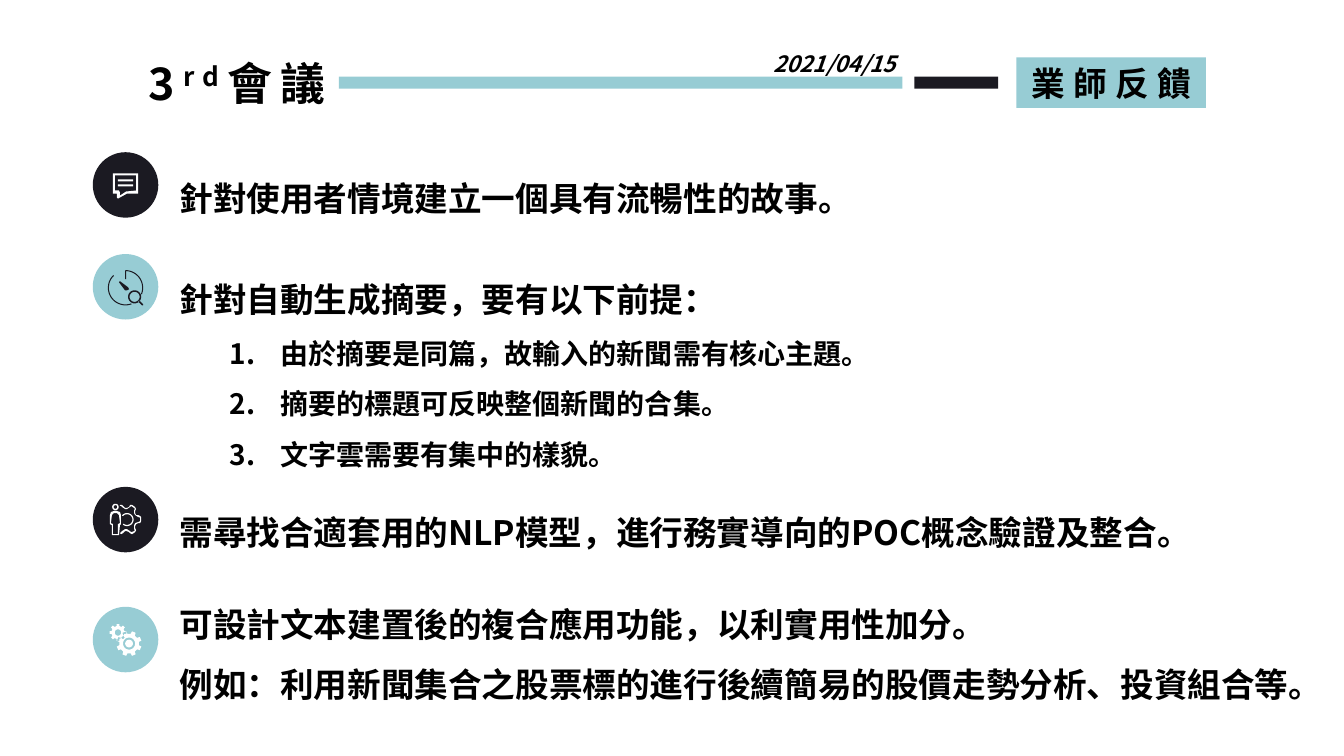
import math
from lxml import etree
from pptx import Presentation
from pptx import util as u
from pptx.dml.color import RGBColor
from pptx.enum import shapes, text
from pptx.oxml.ns import qn

COLORS = {"teal": "97CCD4", "ink": "1B1A22", "white": "FFFFFF", "black": "000000"}
FONT = "Noto Sans CJK SC"
SCALE = 9144
SLIDE_SIZE = (1333, 750)

TITLE = [("3", 0), ("rd", 30000), ("會議", 0)]
TITLE_BOX = (137, 50, 211, 64)
DATE = "2021/04/15"
DATE_BOX = (749, 45, 158, 37)
BADGE = "業師反饋"
BADGE_BOX = (1008, 57, 188, 50)
BARS = [((336, 76, 559, 12), "teal"), ((907, 76, 83, 12), "ink")]

TEXT_LEFT, DISC_LEFT, DISC_SIZE = 168, 92, 65
FEEDBACK = [
    {"top": 151, "size": (693, 63), "disc_top": 151, "disc": "ink", "icon": "chat", "ink": "white",
     "lines": ["針對使用者情境建立一個具有流暢性的故事。"], "steps": []},
    {"top": 252, "size": (710, 216), "disc_top": 252, "disc": "teal", "icon": "search", "ink": "ink",
     "lines": ["針對自動生成摘要，要有以下前提："],
     "steps": ["由於摘要是同篇，故輸入的新聞需有核心主題。",
               "摘要的標題可反映整個新聞的合集。", "文字雲需要有集中的樣貌。"]},
    {"top": 483, "size": (1067, 63), "disc_top": 483, "disc": "ink", "icon": "engineer", "ink": "white",
     "lines": ["需尋找合適套用的NLP模型，進行務實導向的POC概念驗證及整合。"], "steps": []},
    {"top": 574, "size": (1198, 124), "disc_top": 602, "disc": "teal", "icon": "gears", "ink": "white",
     "lines": ["可設計文本建置後的複合應用功能，以利實用性加分。",
               "例如：利用新聞集合之股票標的進行後續簡易的股價走勢分析、投資組合等。"], "steps": []},
]

COG_OUTLINE = [
    (119, 501), (121, 501), (123, 503), (124, 504), (126, 504), (128, 503), (129, 501), (131, 501),
    (134, 503), (135, 505), (134, 507), (134, 509), (135, 511), (137, 511), (139, 512), (140, 513),
    (140, 517), (139, 519), (137, 519), (135, 520), (134, 522), (134, 524), (135, 526), (134, 528),
    (131, 530), (129, 529), (128, 528), (126, 527), (124, 527), (123, 528), (122, 529), (120, 530),
    (119, 529), (120, 528), (121, 527), (124, 525), (126, 525), (129, 527), (130, 528), (133, 527),
    (134, 526), (133, 525), (133, 521), (134, 519), (137, 518), (139, 517), (139, 514), (138, 513),
    (137, 513), (134, 511), (133, 509), (133, 506), (134, 505), (133, 504), (130, 502), (129, 503),
    (126, 505), (124, 505), (121, 503), (120, 502), (119, 502)]
PERSON_OUTER = [(113, 507), (116, 507), (119, 508), (120, 511), (120, 520), (119, 521), (118, 531),
                (111, 531), (111, 521), (109, 520), (109, 511), (110, 508)]
PERSON_INNER = [(113, 509), (111, 511), (110, 519), (112, 520), (112, 530), (117, 530), (117, 520),
                (119, 519), (118, 511), (116, 509)]


def px(value):
    return u.Emu(round(value * SCALE))


def box(values):
    return [px(value) for value in values]


def arc(x, y, radius, start=0, end=360, count=32):
    angles = [math.radians(start + (end - start) * i / count) for i in range(count + 1)]
    return [(x + radius * math.cos(a), y + radius * math.sin(a)) for a in angles]


def band(x, y, outer, inner, start, end):
    return arc(x, y, outer, start, end) + arc(x, y, inner, end, start)


def rectangle(left, top, right, bottom):
    return [(left, top), (right, top), (right, bottom), (left, bottom)]


def gear(x, y, tip, root, turn, teeth=8):
    points = []
    for tooth in range(teeth):
        middle = turn + 360 * tooth / teeth
        for radius, offset in ((root, -13), (tip, -9), (tip, 9), (root, 13)):
            angle = math.radians(middle + offset)
            points.append((x + radius * math.cos(angle), y + radius * math.sin(angle)))
    return points


ICONS = {
    "chat": [
        [(112, 172), (137, 172), (137, 192), (126, 192), (117, 197), (116, 196), (116, 192), (112, 192)],
        [(114, 174), (135, 174), (135, 189), (125, 190), (119, 194), (119, 191), (118, 189), (114, 189)],
        rectangle(117, 178, 132, 180), rectangle(117, 183, 132, 185)],
    "search": [
        band(124.5, 285.5, 17.5, 16.5, -90, 22), band(124.5, 285.5, 17.5, 16.5, 70, 226),
        rectangle(124, 268, 125, 277),
        [(119, 279), (127, 285), (128, 287), (126, 288), (124, 288), (118, 280)],
        arc(133.5, 294.5, 6.5), arc(133.5, 294.5, 5),
        [(138, 298), (142, 302), (142, 303), (141, 303), (137, 299)]],
    "engineer": [
        PERSON_OUTER, PERSON_INNER, arc(114.5, 503, 3.2), arc(114.5, 503, 1.8),
        band(126, 515.5, 6.5, 5.3, -140, 130), COG_OUTLINE],
    "gears": [
        gear(117, 627.5, 8.5, 6.5, 0), arc(117, 627.5, 3.2),
        gear(128, 638.5, 12.5, 9.8, 22.5), arc(128, 638.5, 6), arc(128, 638.5, 3.8)],
}


def write(paragraph, content, size, italic=False, spacing=0, baseline=0, align=text.PP_ALIGN.LEFT,
          line_spacing=1.0):
    paragraph.alignment = align
    paragraph.line_spacing = line_spacing
    paragraph.space_before = paragraph.space_after = u.Pt(0)
    run = paragraph.add_run()
    run.text = content
    font = run.font
    font.name, font.size, font.bold, font.italic = FONT, u.Pt(size), True, italic
    font.color.rgb = RGBColor.from_string(COLORS["black"])
    properties = run._r.get_or_add_rPr()
    properties.set("spc", str(spacing * 100))
    properties.set("baseline", str(baseline))
    latin = properties.find(qn("a:latin"))
    east_asian = etree.Element(qn("a:ea"), typeface=FONT)
    latin.addnext(east_asian)


def set_bullet(paragraph, numbered):
    properties = paragraph._p.get_or_add_pPr()
    properties.set("marL", str(px(100) if numbered else 0))
    properties.set("indent", str(px(-50) if numbered else 0))
    if numbered:
        etree.SubElement(properties, qn("a:buFont"), typeface="+mj-lt")
        etree.SubElement(properties, qn("a:buAutoNum"), type="arabicPeriod")
    else:
        etree.SubElement(properties, qn("a:buNone"))


def prepare(shape, position=None, wrap=False, anchor=text.MSO_ANCHOR.TOP):
    if position:
        shape.left, shape.top, shape.width, shape.height = box(position)
    frame = shape.text_frame
    frame.word_wrap = wrap
    frame.auto_size = text.MSO_AUTO_SIZE.SHAPE_TO_FIT_TEXT
    frame.vertical_anchor = anchor
    return frame


def paint(shape, color):
    shape.shadow.inherit = False
    shape.fill.solid()
    shape.fill.fore_color.rgb = RGBColor.from_string(COLORS[color])
    shape.line.fill.background()
    return shape


def draw_icon(parent, outlines, color):
    contours = [[(px(x), px(y)) for x, y in outline] for outline in outlines]
    builder = parent.build_freeform(*contours[0][0], scale=1.0)
    for index, contour in enumerate(contours):
        if index:
            builder.move_to(*contour[0])
        builder.add_line_segments(contour[1:], close=True)
    paint(builder.convert_to_shape(), color)


def main():
    presentation = Presentation()
    presentation.slide_width, presentation.slide_height = box(SLIDE_SIZE)
    slide = presentation.slides.add_slide(presentation.slide_layouts[4])
    title, *bodies = slide.placeholders

    badge = slide.shapes.add_shape(shapes.MSO_SHAPE.RECTANGLE, *box(BADGE_BOX))
    frame = prepare(paint(badge, "teal"), anchor=text.MSO_ANCHOR.MIDDLE)
    write(frame.paragraphs[0], BADGE, 24, spacing=6, align=text.PP_ALIGN.CENTER)
    frame = prepare(slide.shapes.add_textbox(*box(DATE_BOX)), wrap=True)
    write(frame.paragraphs[0], DATE, 16, italic=True, align=text.PP_ALIGN.CENTER)

    frame = prepare(title, TITLE_BOX)
    for content, baseline in TITLE:
        write(frame.paragraphs[0], content, 32, spacing=6, baseline=baseline)
    for position, color in BARS:
        paint(slide.shapes.add_shape(shapes.MSO_SHAPE.RECTANGLE, *box(position)), color)

    for item, body in zip(FEEDBACK, bodies):
        frame = prepare(body, (TEXT_LEFT, item["top"], *item["size"]))
        entries = [(line, False) for line in item["lines"]] + [(step, True) for step in item["steps"]]
        for index, (content, numbered) in enumerate(entries):
            paragraph = frame.add_paragraph() if index else frame.paragraphs[0]
            paragraph.level = int(numbered)
            write(paragraph, content, 20 if numbered else 24, line_spacing=1.5)
            set_bullet(paragraph, numbered)
        group = slide.shapes.add_group_shape().shapes
        disc_box = (DISC_LEFT, item["disc_top"], DISC_SIZE, DISC_SIZE)
        paint(group.add_shape(shapes.MSO_SHAPE.OVAL, *box(disc_box)), item["disc"])
        draw_icon(group, ICONS[item["icon"]], item["ink"])

    presentation.save("out.pptx")


if __name__ == "__main__":
    main()
